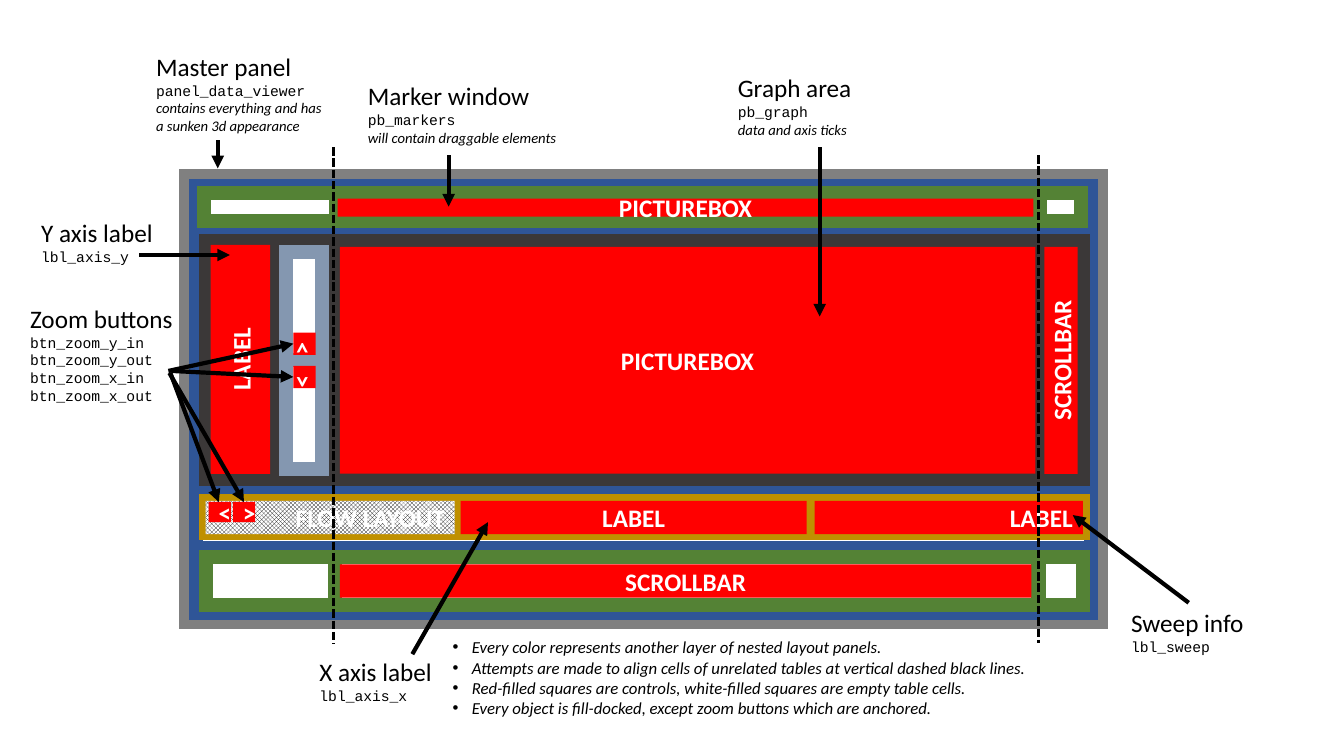
"""Build a slide that explains the nested layout panels of a data viewer."""
from dataclasses import dataclass

from lxml.etree import SubElement
from pptx import Presentation
from pptx.dml.color import RGBColor
from pptx.enum.dml import MSO_LINE, MSO_PATTERN
from pptx.enum.shapes import MSO_CONNECTOR, MSO_SHAPE
from pptx.enum.text import MSO_ANCHOR, MSO_AUTO_SIZE, PP_ALIGN
from pptx.oxml.ns import qn
from pptx.util import Inches, Pt


@dataclass(frozen=True)
class Theme:
    black: str = "000000"
    white: str = "FFFFFF"
    control: str = "FF0000"
    hatch: str = "0D0D0D"
    master: str = "808080"
    rows: str = "2F5597"
    strip: str = "548235"
    info: str = "BF9000"
    graph: str = "3B3838"
    zoom: str = "8497B0"
    font: str = "Calibri"
    code_font: str = "Courier New"
    heading: float = 18
    body: float = 12
    small: float = 10.5
    border: float = 10
    arrow: float = 3
    guide: float = 2


@dataclass(frozen=True)
class Panel:
    left: float
    top: float
    width: float
    height: float
    color: str
    row_dividers: tuple[float, ...] = ()
    column_dividers: tuple[float, ...] = ()


@dataclass(frozen=True)
class Control:
    text: str
    left: float
    top: float
    width: float
    height: float
    rotation: float = 0
    align: PP_ALIGN = PP_ALIGN.CENTER
    hatched: bool = False


@dataclass(frozen=True)
class Callout:
    left: float
    top: float
    width: float
    height: float
    title: str
    names: tuple[str, ...]
    notes: tuple[str, ...] = ()
    arrows: tuple[tuple[float, float, float, float], ...] = ()


THEME = Theme()
GUIDES = ((3.31, 1.46), (10.3, 1.54))
GUIDE_BOTTOM = 6.38
PANELS = (
    Panel(1.85, 1.75, 9.07, 4.42, THEME.master),
    Panel(1.94, 1.85, 8.88, 4.23, THEME.rows, row_dividers=(2.29, 4.89, 5.44)),
    Panel(2.04, 5.53, 8.7, 0.47, THEME.strip, column_dividers=(3.32, 10.3)),
    Panel(2.04, 4.97, 8.7, 0.32, THEME.info, column_dividers=(4.51, 8.02)),
    Panel(2.04, 2.39, 8.7, 2.36, THEME.graph, column_dividers=(2.74, 3.32, 10.31)),
    Panel(2.84, 2.5, 0.35, 2.15, THEME.zoom, row_dividers=(3.57,)),
    Panel(2.02, 1.91, 8.7, 0.28, THEME.strip, column_dividers=(3.33, 10.31)),
)
CONTROLS = (
    Control("SCROLLBAR", 3.37, 5.6, 6.86, 0.33),
    Control("FLOW LAYOUT", 2.04, 4.97, 2.47, 0.33, align=PP_ALIGN.RIGHT, hatched=True),
    Control("LABEL", 1.25, 3.27, 2.27, 0.59, rotation=270),
    Control("<", 2.07, 4.98, 0.22, 0.2),
    Control(">", 2.31, 4.98, 0.22, 0.2),
    Control("<", 2.91, 3.3, 0.22, 0.22, rotation=90),
    Control(">", 2.91, 3.63, 0.22, 0.22, rotation=90),
    Control("LABEL", 4.57, 4.97, 3.43, 0.33),
    Control("LABEL", 8.08, 4.97, 2.66, 0.33, align=PP_ALIGN.RIGHT),
    Control("SCROLLBAR", 9.4, 3.41, 2.25, 0.33, rotation=270),
    Control("PICTUREBOX", 3.37, 2.45, 6.9, 2.25),
    Control("PICTUREBOX", 3.35, 1.97, 6.9, 0.18),
)
CALLOUTS = (
    Callout(1.45, 0.46, 1.87, 0.93, "Master panel", ("panel_data_viewer",),
            ("contains everything and has", "a sunken 3d appearance"),
            ((2.16, 1.39, 2.16, 1.67),)),
    Callout(3.55, 0.75, 2.1, 0.76, "Marker window", ("pb_markers",),
            ("will contain draggable elements",), ((4.45, 1.54, 4.45, 2.05),)),
    Callout(7.22, 0.67, 1.34, 0.76, "Graph area", ("pb_graph",),
            ("data and axis ticks",), ((8.13, 1.46, 8.13, 3.14),)),
    Callout(0.2, 2.96, 1.64, 1.11, "Zoom buttons",
            ("btn_zoom_y_in", "btn_zoom_y_out", "btn_zoom_x_in", "btn_zoom_x_out"),
            arrows=((1.67, 3.68, 2.91, 3.41), (1.7, 3.68, 2.91, 3.74),
                    (1.69, 3.7, 2.17, 4.98), (1.68, 3.7, 2.42, 4.98))),
    Callout(0.31, 2.11, 1.32, 0.58, "Y axis label", ("lbl_axis_y",),
            arrows=((1.38, 2.53, 2.28, 2.53),)),
    Callout(3.07, 6.46, 1.32, 0.58, "X axis label", ("lbl_axis_x",),
            arrows=((4.09, 6.49, 4.84, 5.18),)),
    Callout(11.12, 5.98, 1.33, 0.58, "Sweep info", ("lbl_sweep",),
            arrows=((11.79, 5.98, 10.64, 5.11),)),
)
REMARKS = (
    "Every color represents another layer of nested layout panels.",
    "Attempts are made to align cells of unrelated tables at vertical dashed black lines.",
    "Red-filled squares are controls, white-filled squares are empty table cells.",
    "Every object is fill-docked, except zoom buttons which are anchored.",
)


def write(frame, text: str, *, size: float, font: str = THEME.font, color: str = THEME.black,
          bold: bool = False, italic: bool = False, align: PP_ALIGN = PP_ALIGN.LEFT):
    paragraph = frame.paragraphs[0] if not frame.text else frame.add_paragraph()
    paragraph.alignment = align
    run = paragraph.add_run()
    run.text = text
    run.font.size, run.font.name = Pt(size), font
    run.font.bold, run.font.italic = bold, italic
    run.font.color.rgb = RGBColor.from_string(color)
    return paragraph


def add_line(slide, left: float, top: float, right: float, bottom: float, *, color: str,
             width: float, dashed: bool = False, arrow: bool = False) -> None:
    connector = slide.shapes.add_connector(
        MSO_CONNECTOR.STRAIGHT, Inches(left), Inches(top), Inches(right), Inches(bottom))
    connector.line.color.rgb = RGBColor.from_string(color)
    connector.line.width = Pt(width)
    if dashed:
        connector.line.dash_style = MSO_LINE.SQUARE_DOT
    if arrow:
        SubElement(connector.line._get_or_add_ln(), qn("a:tailEnd"), type="triangle")
    SubElement(connector._element.spPr, qn("a:effectLst"))


def add_rectangle(slide, item: Panel | Control):
    shape = slide.shapes.add_shape(MSO_SHAPE.RECTANGLE, Inches(item.left), Inches(item.top),
                                   Inches(item.width), Inches(item.height))
    shape.shadow.inherit = False
    return shape


def add_panel(slide, panel: Panel) -> None:
    shape = add_rectangle(slide, panel)
    shape.fill.solid()
    shape.fill.fore_color.rgb = RGBColor.from_string(THEME.white)
    shape.line.color.rgb = RGBColor.from_string(panel.color)
    shape.line.width = Pt(THEME.border)
    SubElement(shape.line._get_or_add_ln(), qn("a:miter"), lim="800000")
    right, bottom = panel.left + panel.width, panel.top + panel.height
    rows = [(panel.left, y, right, y) for y in panel.row_dividers]
    columns = [(x, panel.top, x, bottom) for x in panel.column_dividers]
    for ends in rows + columns:
        add_line(slide, *ends, color=panel.color, width=THEME.border)


def add_control(slide, control: Control) -> None:
    shape = add_rectangle(slide, control)
    shape.rotation = control.rotation
    shape.line.fill.background()
    if control.hatched:
        shape.fill.patterned()
        shape.fill.pattern = MSO_PATTERN.TRELLIS
        shape.fill.back_color.rgb = RGBColor.from_string(THEME.white)
    else:
        shape.fill.solid()
    fill_color = THEME.hatch if control.hatched else THEME.control
    shape.fill.fore_color.rgb = RGBColor.from_string(fill_color)
    write(shape.text_frame, control.text, size=THEME.heading, color=THEME.white, bold=True,
          align=control.align)


def add_callout(slide, callout: Callout) -> None:
    frame = slide.shapes.add_textbox(Inches(callout.left), Inches(callout.top),
                                     Inches(callout.width), Inches(callout.height)).text_frame
    frame.word_wrap = False
    frame.auto_size = MSO_AUTO_SIZE.SHAPE_TO_FIT_TEXT
    write(frame, callout.title, size=THEME.heading)
    for name in callout.names:
        write(frame, name, size=THEME.small, font=THEME.code_font)
    for note in callout.notes:
        write(frame, note, size=THEME.small, italic=True)
    for ends in callout.arrows:
        add_line(slide, *ends, color=THEME.black, width=THEME.arrow, arrow=True)


def fill_remarks(body) -> None:
    body.left, body.top = Inches(4.39), Inches(6.27)
    body.width, body.height = Inches(5.95), Inches(0.91)
    frame = body.text_frame
    frame.auto_size = MSO_AUTO_SIZE.NONE
    frame.vertical_anchor = MSO_ANCHOR.TOP
    for remark in REMARKS:
        paragraph = write(frame, remark, size=THEME.body, italic=True)
        paragraph.space_before = Pt(0)
        properties = paragraph._p.get_or_add_pPr()
        properties.set("marL", str(Inches(0.19)))
        properties.set("indent", str(-Inches(0.19)))


def main() -> None:
    presentation = Presentation()
    presentation.slide_width, presentation.slide_height = Inches(13.33), Inches(7.5)
    slide = presentation.slides.add_slide(presentation.slide_layouts[1])
    title = slide.shapes.title._element
    title.getparent().remove(title)
    fill_remarks(slide.placeholders[1])
    for panel in PANELS:
        add_panel(slide, panel)
    for control in CONTROLS:
        add_control(slide, control)
    for x, top in GUIDES:
        add_line(slide, x, top, x, GUIDE_BOTTOM, color=THEME.black, width=THEME.guide, dashed=True)
    for callout in CALLOUTS:
        add_callout(slide, callout)
    presentation.save("out.pptx")


main()
